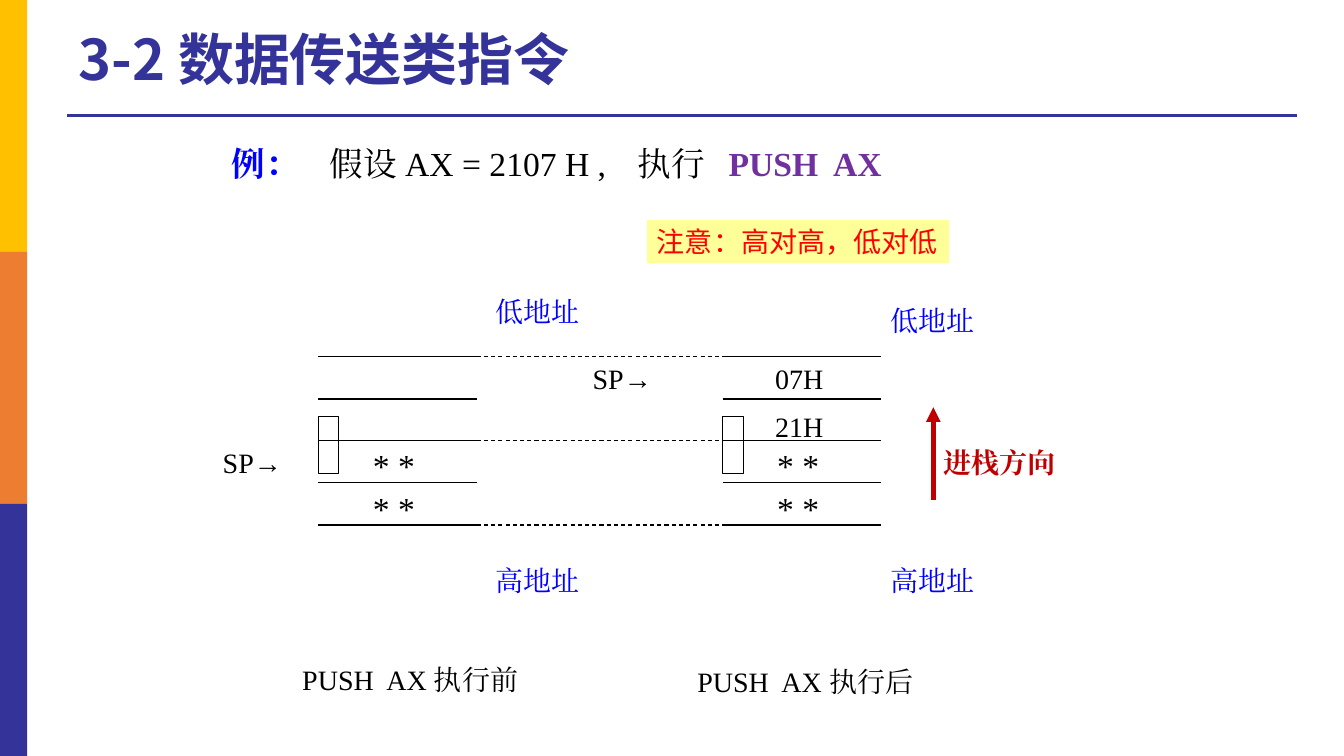
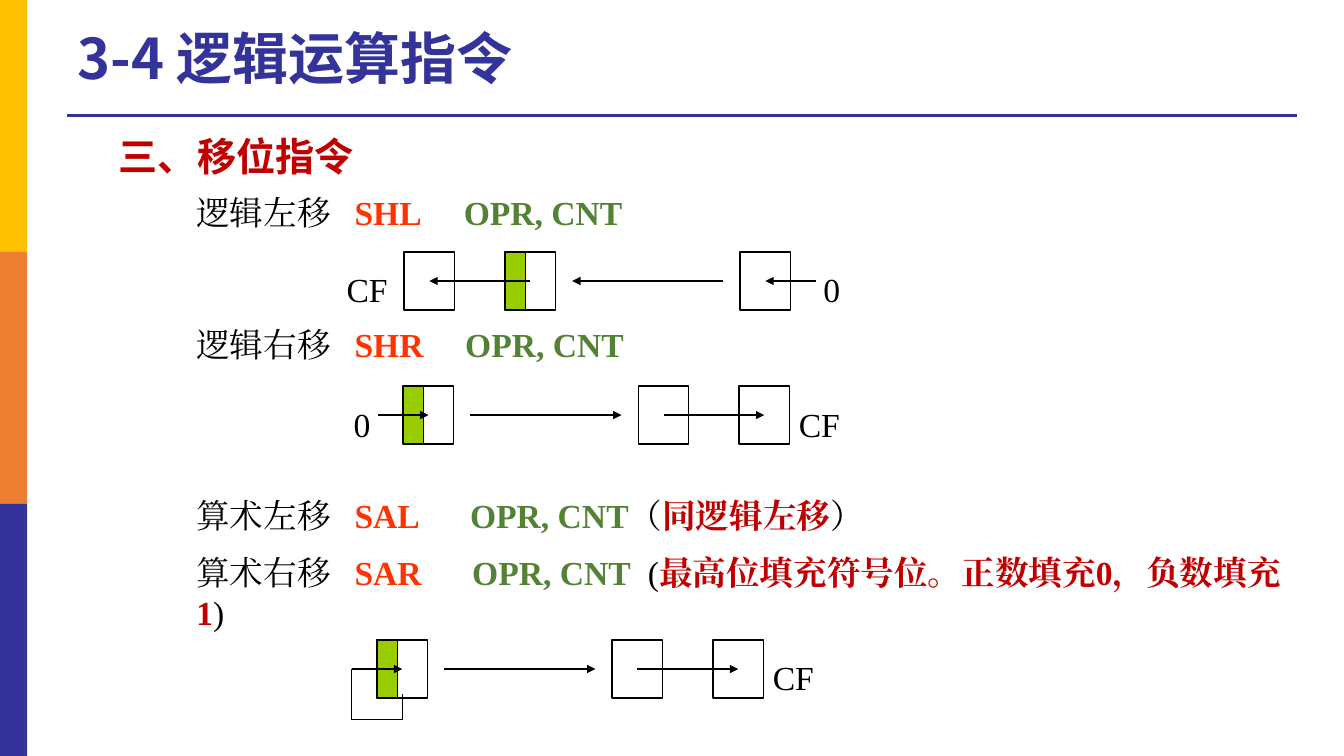
from lxml.etree import SubElement
from pptx import Presentation
from pptx.dml.color import RGBColor
from pptx.enum.dml import MSO_LINE
from pptx.enum.shapes import MSO_CONNECTOR, MSO_SHAPE
from pptx.enum.text import MSO_ANCHOR, MSO_AUTO_SIZE, PP_ALIGN
from pptx.oxml.ns import qn
from pptx.util import Pt

SERIF = "Times New Roman"
NAVY, BLACK, BLUE, RED = "333399", "000000", "0000FF", "C00000"
ORANGE, GREEN, LIME = "FF3300", "548235", "99CC00"
BANDS = ("FFC000", "ED7D31", NAVY)


def color(code):
    """Turn a hex string into a colour."""
    return RGBColor.from_string(code)


class Deck:
    """Holds the shared style and the slide being built."""

    def __init__(self):
        """Open an empty widescreen presentation."""
        self.prs = Presentation()
        self.prs.slide_width, self.prs.slide_height = Pt(960), Pt(540)
        self.slide = None

    def new_slide(self, heading, left, top):
        """Start a slide with the rule, side bands and title."""
        self.slide = self.prs.slides.add_slide(self.prs.slide_layouts[5])
        self.line((48, 82.8), (926.6, 82.8), 2.25, NAVY)
        for i, band in enumerate(BANDS):
            self.rect(0, 180 * i, 19.4, 180, fill=band)
        title = self.slide.shapes.title
        title.left, title.top, title.width, title.height = map(Pt, (left, top, 713.5, 62.6))
        frame = title.text_frame
        frame.vertical_anchor = MSO_ANCHOR.MIDDLE
        frame.auto_size = MSO_AUTO_SIZE.NONE
        self.add_runs(frame.paragraphs[0], [(heading, NAVY, True)], 40, "Noto Sans CJK SC")
        frame.paragraphs[0].line_spacing = 0.9

    def line(self, start, end, width=0.75, ink=BLACK, dash=False, arrow=False):
        """Draw a straight line, dashed or arrow-tipped on request."""
        link = self.slide.shapes.add_connector(
            MSO_CONNECTOR.STRAIGHT, *map(Pt, (*start, *end)))
        link.line.width = Pt(width)
        link.line.color.rgb = color(ink)
        if dash:
            link.line.dash_style = MSO_LINE.DASH
        properties = link._element.spPr
        if arrow:
            SubElement(properties.find(qn("a:ln")), qn("a:tailEnd"), type="triangle")
        SubElement(properties, qn("a:effectLst"))

    def rect(self, left, top, width, height, fill=None, border=0):
        """Draw a rectangle; a zero border means no outline."""
        box = self.slide.shapes.add_shape(
            MSO_SHAPE.RECTANGLE, *map(Pt, (left, top, width, height)))
        box.shadow.inherit = False
        if fill:
            box.fill.solid()
            box.fill.fore_color.rgb = color(fill)
        else:
            box.fill.background()
        if border:
            box.line.width = Pt(border)
            box.line.color.rgb = color(BLACK)
        else:
            box.line.fill.background()
        return box

    def add_runs(self, paragraph, runs, size, font=SERIF, before=0, tabs=()):
        """Fill a paragraph with (text, colour, bold) runs."""
        paragraph.alignment = PP_ALIGN.LEFT
        paragraph.space_before = Pt(before)
        if tabs:
            stops = SubElement(paragraph._p.get_or_add_pPr(), qn("a:tabLst"))
            for stop in tabs:
                SubElement(stops, qn("a:tab"), pos=str(Pt(stop)), algn="l")
        for text, ink, bold in runs:
            run = paragraph.add_run()
            run.text = text
            run.font.name, run.font.size, run.font.bold = font, Pt(size), bold
            run.font.color.rgb = color(ink)
            SubElement(run._r.get_or_add_rPr(), qn("a:ea"), typeface=font)

    def text(self, left, top, width, height):
        """Add an empty wrapping text box and return its frame."""
        frame = self.slide.shapes.add_textbox(*map(Pt, (left, top, width, height))).text_frame
        frame.word_wrap = True
        return frame

    def label(self, text, left, top, width=144, size=20, ink=BLACK, bold=False, font=SERIF):
        """Add a one-paragraph label."""
        frame = self.text(left, top, width, size * 1.15 + 8)
        self.add_runs(frame.paragraphs[0], [(text, ink, bold)], size, font)

    def stack(self, left):
        """Draw the ruled cells of one stack."""
        self.rect(left, 297.4, 14.6, 41, border=0.75)
        for i in range(5):
            self.line((left, 255 + 30 * i), (left + 113, 255 + 30 * i))

    def register(self, left, top, to_left=False):
        """Draw a shift register, mirrored when it shifts left."""
        middle, span, side = top + 20.7, 276, 36
        offsets = [span - side - x if to_left else x for x in (0, 168, 240)]
        sign = min(offsets[:2])
        self.rect(left + sign, top, 14.6, 41.4, LIME, 1)
        for x in offsets:
            self.rect(left + x, top, side, 41.4, border=1)
        for ends in ((-18, 18), (48, 156), (186, 258)):
            start, end = (left + (span - x if to_left else x) for x in ends)
            self.line((start, middle), (end, middle), 1, arrow=True)


def push_slide(deck):
    """Show the stack before and after PUSH."""
    deck.new_slide("3-2 数据传送类指令", 49, 13)
    example = deck.text(158.4, 98.6, 615, 36)
    deck.add_runs(example.paragraphs[0], [
        ("例：", BLUE, True),
        ("\t假设 AX = 2107 H ,\t执行", BLACK, False),
        ("\tPUSH  AX", "7030A0", True)], 24, tabs=(70, 290, 355))

    before, after = 227.5, 516.2
    for left in (before, after):
        deck.stack(left)
    for y in (255, 315, 375):
        deck.line((before + 113, y), (after, y), dash=True)

    deck.label("SP→", 152, 314.6, 90)
    deck.label("SP→", 416.2, 254.9, 90)
    pushed = deck.text(546.5, 254.9, 90, 67)
    deck.add_runs(pushed.paragraphs[0], [("07H", BLACK, False)], 20)
    deck.add_runs(pushed.add_paragraph(), [("21H", BLACK, False)], 20, before=10)
    for left in (259.2, 548):
        for top in (314.6, 344.9):
            deck.label("* *", left, top, 60, 24)

    for address, left, top in (("低地址", 347, 206.6), ("高地址", 347, 398.9),
                               ("低地址", 629.3, 213.1), ("高地址", 629.3, 398.9)):
        deck.label(address, left, top, ink=BLUE)
    deck.line((666.7, 357.1), (666.7, 290.9), 3.5, RED, arrow=True)
    deck.label("进栈方向", 666.7, 314.6, ink=RED, bold=True)
    deck.label("PUSH  AX 执行前", 208.8, 469.4, 170)
    deck.label("PUSH  AX 执行后", 491, 470.9, 170)

    note = deck.rect(462.2, 157, 216, 31, "FFFF99").text_frame
    note.word_wrap = False
    deck.add_runs(note.paragraphs[0], [("注意：高对高，低对低", "FF0000", False)], 20, "Karla")


def shift_slide(deck):
    """List the shift instructions with their registers."""
    deck.new_slide("3-4 逻辑运算指令", 48.2, 12.2)
    deck.label("三、移位指令", 77.8, 90.7, 240, 28, RED, True, "Calibri")

    remark_left = [("（", BLACK, False), ("同逻辑左移", RED, True), ("）", BLACK, False)]
    remark_right = [("\t(", BLACK, False),
                    ("最高位填充符号位。正数填充0，负数填充1", RED, True),
                    (")", BLACK, False)]
    instructions = (
        ("逻辑左移", "SHL", 191, 0, []),
        ("逻辑右移", "SHR", 192, 65.7, []),
        ("算术左移", "SAL", 195.5, 93.5, remark_left),
        ("算术右移", "SAR", 197, 12, remark_right),
    )
    body = deck.text(133.2, 133.2, 801.4, 307.4)
    for i, (name, mnemonic, operand_tab, gap, remark) in enumerate(instructions):
        paragraph = body.add_paragraph() if i else body.paragraphs[0]
        runs = [(name, BLACK, False), ("\t" + mnemonic, ORANGE, True),
                ("\tOPR, CNT", GREEN, True), *remark]
        deck.add_runs(paragraph, runs, 24, before=gap, tabs=(113, operand_tab, 322.5))

    deck.register(288.7, 180, to_left=True)
    deck.register(288, 275.8)
    deck.register(269.3, 457.2)
    for bit, left, top in (("CF", 240.5, 188.6), ("0", 581, 188.6),
                           ("0", 245.5, 284.9), ("CF", 563.5, 284.9),
                           ("CF", 545, 465.8)):
        deck.label(bit, left, top, 50, 24)

    sign_path = ((251.3, 478), (251.3, 514), (287.3, 514), (287.3, 496))
    for start, end in zip(sign_path, sign_path[1:]):
        deck.line(start, end)


def main():
    """Build and save both slides."""
    deck = Deck()
    push_slide(deck)
    shift_slide(deck)
    deck.prs.save("out.pptx")


if __name__ == "__main__":
    main()
